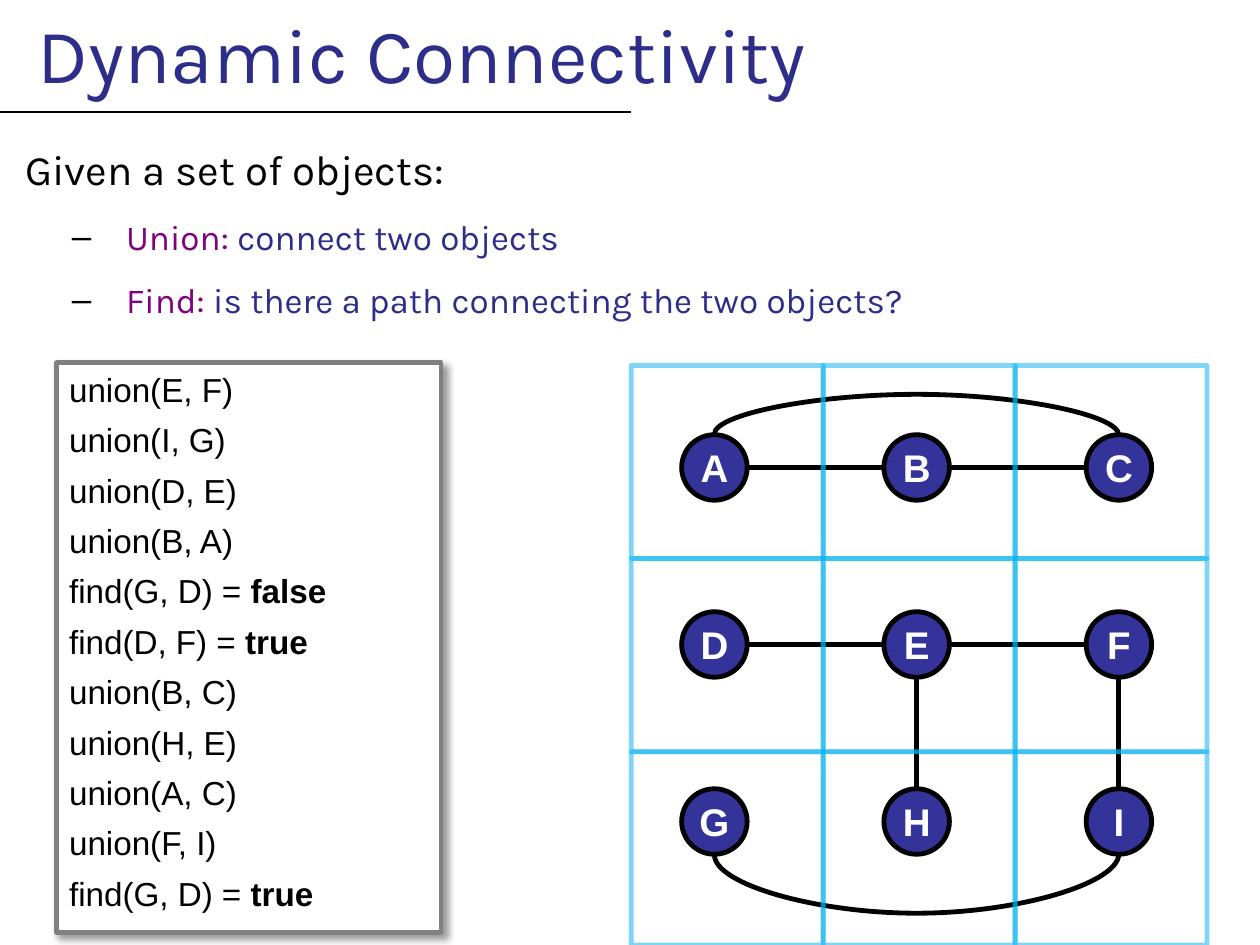
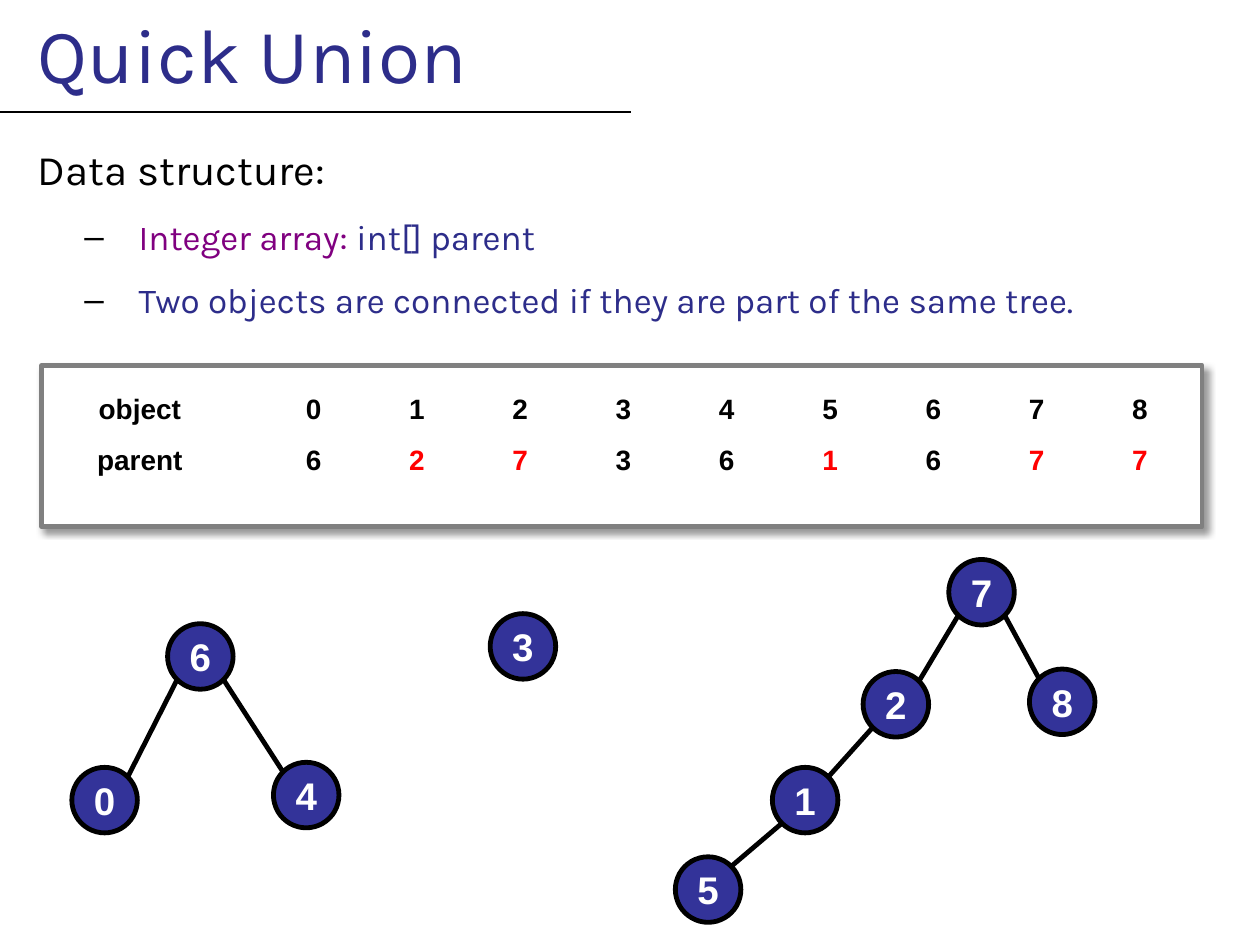
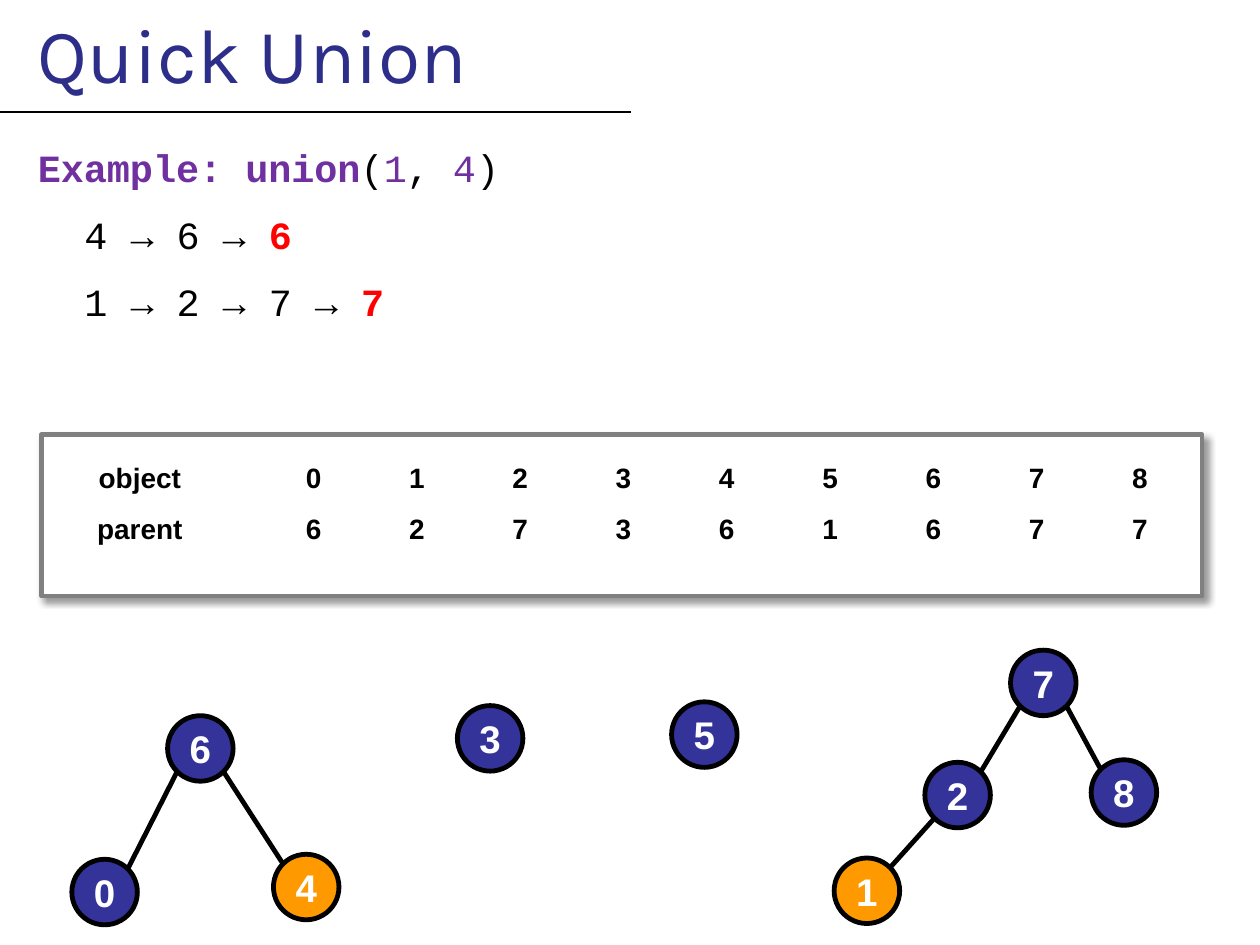
from math import hypot

from lxml import etree
from pptx import Presentation
from pptx.dml.color import RGBColor
from pptx.enum.shapes import MSO_CONNECTOR, MSO_SHAPE
from pptx.enum.text import MSO_ANCHOR, MSO_AUTO_SIZE, PP_ALIGN
from pptx.oxml.ns import qn
from pptx.util import Inches, Pt

STRAIGHT, CURVE = MSO_CONNECTOR.STRAIGHT, MSO_CONNECTOR.CURVE
OVAL, RECT = MSO_SHAPE.OVAL, MSO_SHAPE.RECTANGLE
TOP, MIDDLE = MSO_ANCHOR.TOP, MSO_ANCHOR.MIDDLE
LEFT, CENTER = PP_ALIGN.LEFT, PP_ALIGN.CENTER

COLORS = {
    "black": "000000", "white": "FFFFFF", "navy": "2D2D8A", "node": "333399",
    "hot": "FF9900", "plum": "800080", "violet": "7030A0", "red": "FF0000",
    "gray": "808080", "sky": "00B0F0",
}
SANS, HEAD, MONO = "Arial", "Karla", "Courier New"
STROKE = 2.75
NODE = 0.52
PARENTS = [6, 2, 7, 3, 6, 1, 6, 7, 7]

# Offsets of each node from the root of its tree
SMALL = {6: (0, 0), 0: (-0.76, 1.14), 4: (0.84, 1.1)}
LARGE = {7: (0, 0), 2: (-0.68, 0.89), 8: (0.64, 0.87), 1: (-1.4, 1.65)}
LONG = LARGE | {5: (-2.17, 2.36)}

CALLS = [
    ("union(E, F)", ""), ("union(I, G)", ""), ("union(D, E)", ""),
    ("union(B, A)", ""), ("find(G, D) = ", "false"),
    ("find(D, F) = ", "true"), ("union(B, C)", ""), ("union(H, E)", ""),
    ("union(A, C)", ""), ("union(F, I)", ""), ("find(G, D) = ", "true"),
]


def color(name):
    return RGBColor.from_string(COLORS[name])


def add(parent, tag, **attrs):
    node = etree.SubElement(parent, qn(tag))
    for key, value in attrs.items():
        node.set(key, str(value))
    return node


def set_font(para, name, size, tone="black", bold=False):
    font = para.font
    font.name, font.size, font.bold = name, Pt(size), bold
    font.color.rgb = color(tone)


def add_run(para, text, tone=None, bold=None):
    run = para.add_run()
    run.text = text
    if tone:
        run.font.color.rgb = color(tone)
    if bold:
        run.font.bold = True


def indent(para, margin, first, mark=None):
    """Set the left margin, first-line indent and bullet of a paragraph."""
    props = para._p.get_or_add_pPr()
    props.set("marL", str(Inches(margin)))
    props.set("indent", str(Inches(first)))
    if mark:
        tint = add(props, "a:buClr")
        add(tint, "a:srgbClr", val=COLORS["black"])
        add(props, "a:buFont", typeface=SANS)
        add(props, "a:buChar", char=mark)
    else:
        add(props, "a:buNone")


def add_shape(slide, kind, box, fill, line):
    shape = slide.shapes.add_shape(kind, *map(Inches, box))
    shape.shadow.inherit = False
    if fill:
        shape.fill.solid()
        shape.fill.fore_color.rgb = color(fill)
    else:
        shape.fill.background()
    shape.line.color.rgb = color(line)
    shape.line.width = Pt(STROKE)
    return shape


def add_line(slide, start, end, kind=STRAIGHT, width=STROKE):
    line = slide.shapes.add_connector(kind, *start, *end)
    line.line.color.rgb = color("black")
    line.line.width = Pt(width)
    add(line._element.spPr, "a:effectLst")
    return line


def add_panel(slide, box):
    """Draw a white, gray-edged box with a soft shadow."""
    panel = add_shape(slide, RECT, box, "white", "gray")
    effects = panel._element.spPr.find(qn("a:effectLst"))
    shade = add(effects, "a:outerShdw", blurRad=Pt(4), dist=Pt(3),
                dir=2700000, algn="tl", rotWithShape=0)
    tint = add(shade, "a:srgbClr", val=COLORS["black"])
    add(tint, "a:alpha", val=40000)
    return panel


def add_node(slide, left, top, label, fill="node"):
    node = add_shape(slide, OVAL, (left, top, NODE, NODE), fill, "black")
    frame = node.text_frame
    frame.word_wrap = False
    frame.vertical_anchor = MIDDLE
    frame.margin_left = frame.margin_right = 0
    para = frame.paragraphs[0]
    para.alignment = CENTER
    set_font(para, SANS, 22, "white", True)
    add_run(para, str(label))
    return node


def link(slide, first, last):
    """Join two nodes at the nearest of their eight rim points."""
    dx, dy = last.left - first.left, last.top - first.top
    sx, sy = (dx > 0) - (dx < 0), (dy > 0) - (dy < 0)
    reach = Inches(NODE / 2) / hypot(sx, sy)

    def rim(node, side):
        mid = Inches(NODE / 2)
        return (int(node.left + mid + side * sx * reach),
                int(node.top + mid + side * sy * reach))

    add_line(slide, rim(first, 1), rim(last, -1))


def add_arc(slide, first, last, depth, up):
    """Curve from the first node to the last one on its left."""
    line = add_line(slide, (0, 0), (0, 0), CURVE)
    side = 0 if up else 2
    line.begin_connect(first, side)
    line.end_connect(last, side)
    if not up:
        ends = line._element.nvCxnSpPr.cNvCxnSpPr
        ends.stCxn.idx = ends.endCxn.idx = 4
    span, thin = first.left - last.left, Inches(0.01)
    edge = first.top if up else first.top + first.height
    mid = (first.left + last.left + first.width) // 2
    frame = line._element.spPr.find(qn("a:xfrm"))
    for key in ("flipH", "flipV"):
        frame.attrib.pop(key, None)
    frame.set("rot", "16200000" if up else "5400000")
    if up:
        frame.set("flipV", "1")
    line.left, line.top = mid - thin // 2, edge - span // 2
    line.width, line.height = thin, span
    guides = line._element.spPr.find(qn("a:prstGeom")).find(qn("a:avLst"))
    share = round(depth / 0.01 * 100000)
    add(guides, "a:gd", name="adj1", fmla=f"val {share}")


def add_tree(slide, left, top, spots, hot=()):
    nodes = {
        key: add_node(slide, left + dx, top + dy, key,
                      "hot" if key in hot else "node")
        for key, (dx, dy) in spots.items()
    }
    for key, node in nodes.items():
        if PARENTS[key] != key and PARENTS[key] in nodes:
            link(slide, node, nodes[PARENTS[key]])


def add_graph(slide, left, top, width, height):
    keys = "ABCDEFGHI"
    nodes = {}
    for i, key in enumerate(keys):
        row, col = divmod(i, 3)
        nodes[key] = add_node(slide, left + 0.4 + col * 3.21 / 2,
                              top + 0.55 + row * 2.81 / 2, key)
    for first, last in ("AB", "BC", "DE", "EF", "EH", "FI"):
        link(slide, nodes[first], nodes[last])
    add_arc(slide, nodes["C"], nodes["A"], 0.33, True)
    add_arc(slide, nodes["I"], nodes["G"], 0.48, False)
    wide, high = width / 3, height / 3
    for i in range(len(keys)):
        row, col = divmod(i, 3)
        box = (left + col * wide, top + row * high, wide, high)
        cell = add_shape(slide, RECT, box, None, "sky")
        tint = cell.line._ln.find(qn("a:solidFill"))[0]
        add(tint, "a:alpha", val=51000)


def add_calls(slide, box):
    frame = add_panel(slide, box).text_frame
    frame.word_wrap = True
    frame.vertical_anchor = TOP
    for i, (call, answer) in enumerate(CALLS):
        para = frame.add_paragraph() if i else frame.paragraphs[0]
        para.alignment = LEFT
        para.space_after = Pt(6)
        set_font(para, SANS, 19)
        add_run(para, call)
        if answer:
            add_run(para, answer, bold=True)


def add_array(slide, left, top, marked=()):
    """Draw the panel with the parent table, marked columns in red."""
    add_panel(slide, (left, top, 9.21, 1.28))
    rows = [["object", "", *range(9)], ["parent", "", *PARENTS]]
    widths = [1.46, 0.23] + [0.82] * 9
    table = slide.shapes.add_table(
        len(rows), len(widths), Inches(left + 0.05), Inches(top + 0.15),
        Inches(sum(widths)), Inches(0.81)).table
    table.first_row = table.horz_banding = False
    for col, width in zip(table.columns, widths):
        col.width = Inches(width)
    for r, row in enumerate(rows):
        for c, value in enumerate(row):
            cell = table.cell(r, c)
            cell.fill.background()
            cell.vertical_anchor = MIDDLE
            para = cell.text_frame.paragraphs[0]
            para.alignment = CENTER
            red = r == 1 and c - 2 in marked
            set_font(para, SANS, 16, "red" if red else "black", True)
            if value != "":
                add_run(para, str(value))


def add_body(slide, left, lines, name, sizes, mark, before):
    """Fill the body: a lead line, then indented lines of runs."""
    body = slide.placeholders[1]
    body.left, body.top = Inches(left), Inches(1.09)
    body.width, body.height = Inches(10.21), Inches(6.41)
    frame = body.text_frame
    frame.auto_size = MSO_AUTO_SIZE.NONE
    for i, runs in enumerate(lines):
        para = frame.add_paragraph() if i else frame.paragraphs[0]
        para.level = min(i, 1)
        para.space_before = Pt(12 if i else before)
        if i:
            indent(para, 1, -0.43, mark)
        else:
            indent(para, 0.5, -0.3)
        set_font(para, name, sizes[para.level])
        for run in runs:
            add_run(para, *run)


def open_slide(deck, heading):
    slide = deck.slides.add_slide(deck.slide_layouts[1])
    title = slide.shapes.title
    title.left = title.top = 0
    title.width, title.height = deck.slide_width, Inches(1)
    frame = title.text_frame
    frame.auto_size = MSO_AUTO_SIZE.NONE
    frame.vertical_anchor = TOP
    para = frame.paragraphs[0]
    para.alignment = LEFT
    para.space_before = Pt(4)
    indent(para, 0.2, 0)
    set_font(para, HEAD, 44, "navy")
    add_run(para, heading)
    return slide


def add_rule(deck, slide):
    """Put the line below the title on the shared layout."""
    y = Inches(0.89)
    rule = add_line(slide, (0, y), (Inches(5.01), y), width=1.5)
    deck.slide_layouts[1].shapes._spTree.append(rule._element)


def build_intro(deck):
    slide = open_slide(deck, "Dynamic Connectivity")
    add_rule(deck, slide)
    add_body(slide, -0.1, [
        [("Given a set of objects:",)],
        [("Union: ", "plum"), ("connect two objects", "navy")],
        [("Find:", "plum"),
         (" is there a path connecting the two objects?", "navy")],
    ], HEAD, (24, 20), "–", 2)
    add_calls(slide, (0.45, 2.88, 3.05, 4.52))
    add_graph(slide, 5.01, 2.9, 4.57, 4.6)


def build_union(deck):
    slide = open_slide(deck, "Quick Union")
    add_body(slide, 0, [
        [("Data structure:",)],
        [("Integer array: ", "plum"), ("int[] parent", "navy")],
        [("Two objects are connected if they are part of the same tree.",
          "navy")],
    ], HEAD, (24, 20), "–", 2)
    add_array(slide, 0.33, 2.9, marked=(1, 2, 5, 7, 8))
    add_tree(slide, 1.33, 4.95, SMALL)
    add_node(slide, 3.89, 4.87, 3)
    add_tree(slide, 7.53, 4.44, LONG)


def build_example(deck):
    slide = open_slide(deck, "Quick Union")
    add_body(slide, 0, [
        [("Example: union", "violet", True), ("(",), ("1", "violet"),
         (", ",), ("4", "violet"), (")",)],
        [("4 → 6 → ",), ("6", "red", True)],
        [("1 → 2 → 7 → ",), ("7", "red", True)],
    ], MONO, (22, 22), None, 6)
    add_array(slide, 0.33, 3.45)
    add_tree(slide, 1.33, 5.68, SMALL, hot=(4,))
    add_node(slide, 3.63, 5.6, 3)
    add_node(slide, 5.33, 5.57, 5)
    add_tree(slide, 8.02, 5.16, LARGE, hot=(1,))


def main():
    deck = Presentation()
    deck.slide_width, deck.slide_height = Inches(10), Inches(7.5)
    build_intro(deck)
    build_union(deck)
    build_example(deck)
    deck.save("out.pptx")


if __name__ == "__main__":
    main()
